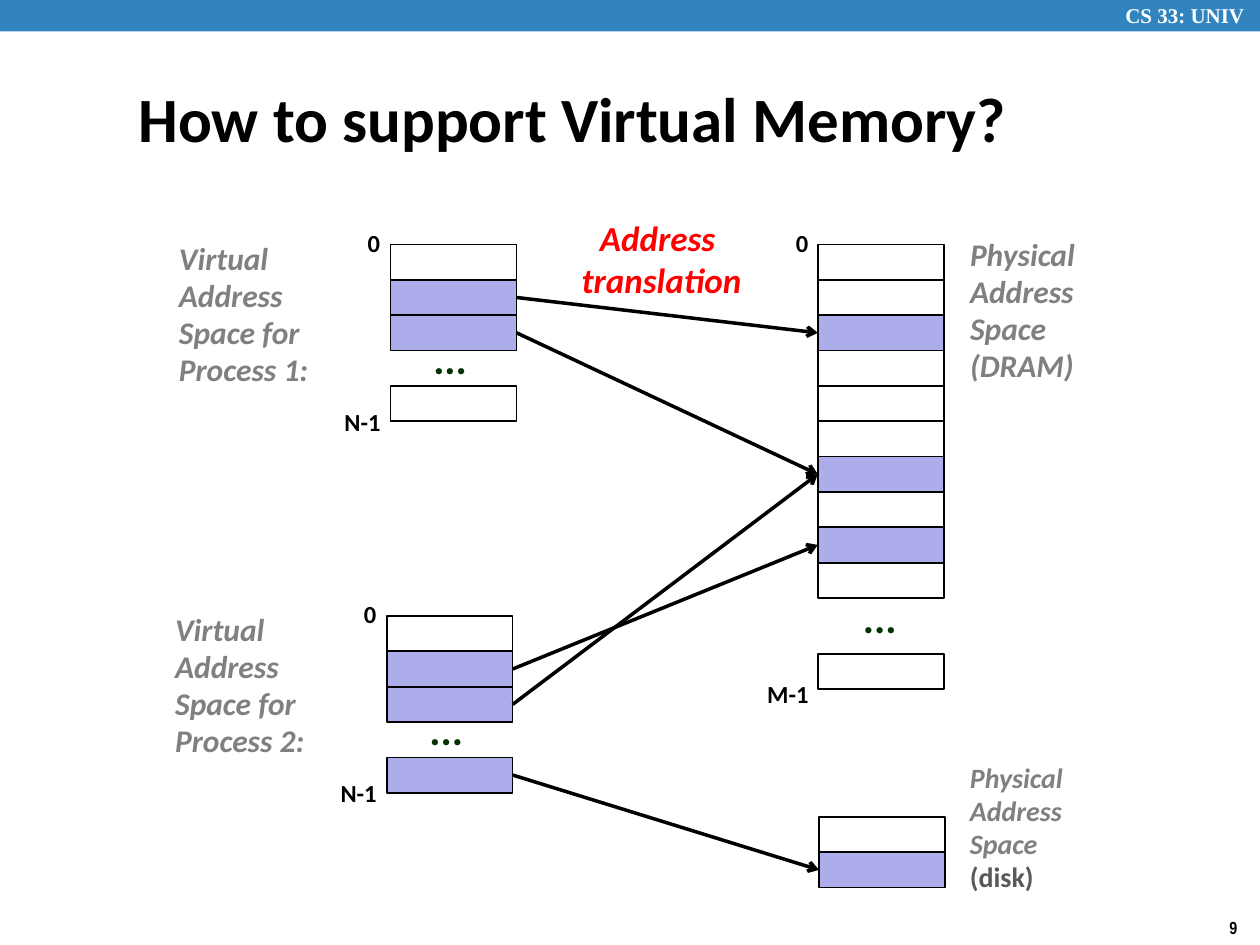
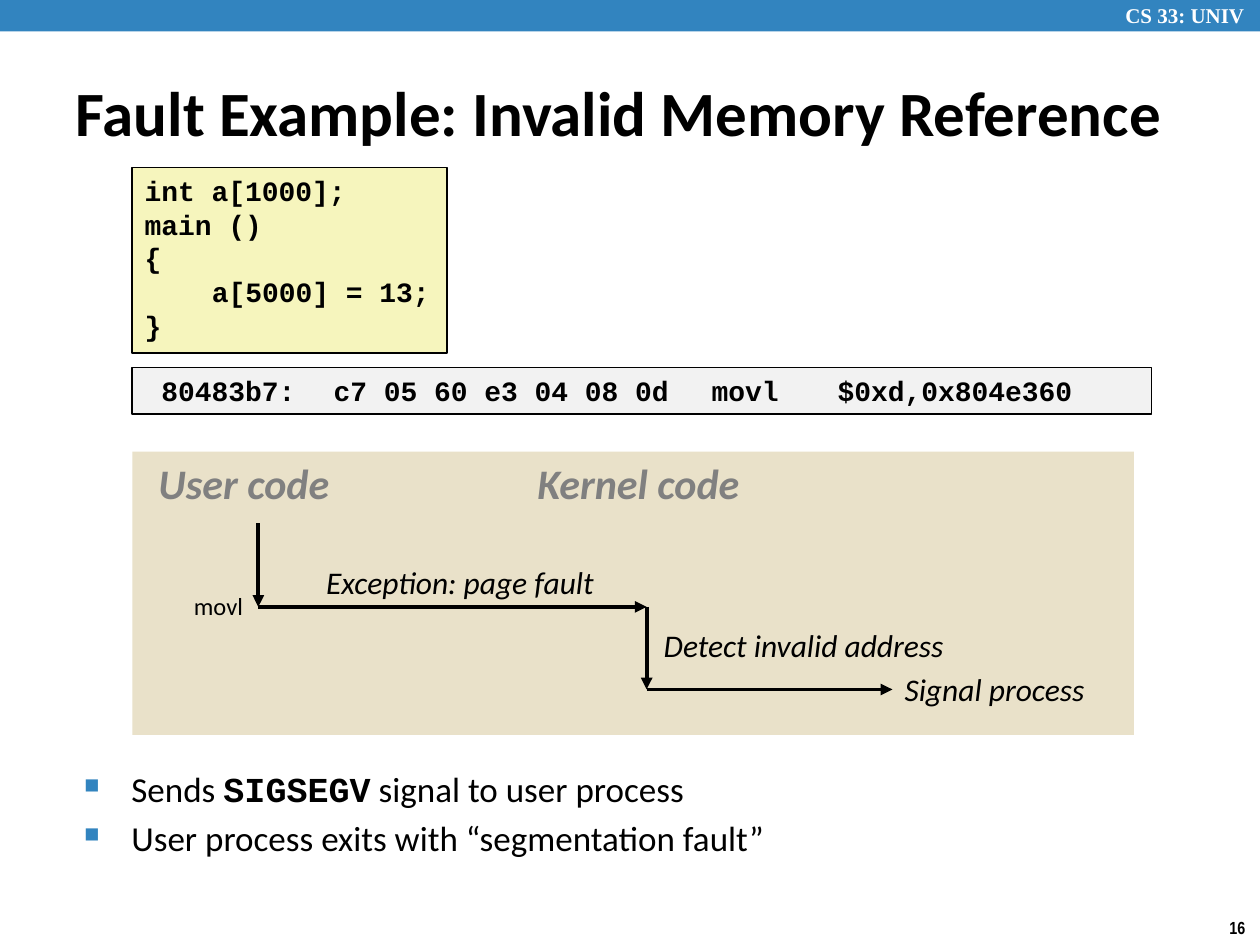
from lxml import etree
from pptx import Presentation
from pptx.dml.color import RGBColor
from pptx.enum import shapes, text
from pptx.oxml import ns
from pptx.util import Pt

BLUE = RGBColor(0x32, 0x84, 0xBF)
LAVENDER = RGBColor(0xAD, 0xAD, 0xEB)
CREAM = RGBColor(0xF6, 0xF5, 0xBD)
PALE_GRAY = RGBColor(0xF2, 0xF2, 0xF2)
SAND = RGBColor(0xE9, 0xE1, 0xC9)
GRAY = RGBColor(0x80, 0x80, 0x80)
DARK_GRAY = RGBColor(0x59, 0x59, 0x59)
GREEN = RGBColor(0x00, 0x33, 0x00)
RED = RGBColor(0xFF, 0x00, 0x00)
BLACK = RGBColor(0, 0, 0)
WHITE = RGBColor(255, 255, 255)

BODY_FONT = "Calibri"
CODE_FONT = "Courier New"
CELL_WIDTH, CELL_HEIGHT = 72, 20.2
LEFT, CENTER = text.PP_ALIGN.LEFT, text.PP_ALIGN.CENTER


def style_font(font, size, color=BLACK, bold=False, italic=False, name=BODY_FONT):
    """Set every font property used in the deck."""
    font.name, font.size, font.bold, font.italic = name, Pt(size), bold, italic
    font.color.rgb = color


def write(shape, lines, size, wrap=True, align=LEFT, spacing=None, before=0,
          anchor=text.MSO_ANCHOR.TOP, **look):
    """Fill a shape with one paragraph per line and return the paragraphs."""
    frame = shape.text_frame
    frame.word_wrap = wrap
    frame.auto_size = text.MSO_AUTO_SIZE.NONE
    frame.vertical_anchor = anchor
    frame.text = lines
    for para in frame.paragraphs:
        para.alignment = align
        para.space_before = Pt(before)
        if spacing:
            para.line_spacing = spacing
        style_font(para.font, size, **look)
    return frame.paragraphs


def add_text(page, left, top, width, height, lines, size, **options):
    """Add a text box and return its paragraphs."""
    box = page.shapes.add_textbox(Pt(left), Pt(top), Pt(width), Pt(height))
    return write(box, lines, size, **options)


def add_box(page, left, top, width, height, fill=None, outlined=True):
    """Add a flat rectangle."""
    box = page.shapes.add_shape(shapes.MSO_SHAPE.RECTANGLE,
                                Pt(left), Pt(top), Pt(width), Pt(height))
    box.shadow.inherit = False
    if fill is None:
        box.fill.background()
    else:
        box.fill.solid()
        box.fill.fore_color.rgb = fill
    if outlined:
        box.line.color.rgb = BLACK
        box.line.width = Pt(1)
    else:
        box.line.fill.background()
    return box


def add_arrow(page, start, end, width, head):
    """Add a straight black arrow between two points."""
    line = page.shapes.add_connector(shapes.MSO_CONNECTOR.STRAIGHT,
                                     *(Pt(value) for value in (*start, *end)))
    line.line.color.rgb = BLACK
    line.line.width = Pt(width)
    tail = etree.SubElement(line.line._get_or_add_ln(), ns.qn("a:tailEnd"))
    tail.set("type", head)
    etree.SubElement(line._element.spPr, ns.qn("a:effectLst"))


def add_bullet(para):
    """Give a paragraph a hanging blue square."""
    props = para._p.get_or_add_pPr()
    props.set("marL", str(Pt(27)))
    props.set("indent", str(-Pt(27)))
    color = etree.Element(ns.qn("a:buClr"))
    etree.SubElement(color, ns.qn("a:srgbClr")).set("val", str(BLUE))
    size = etree.Element(ns.qn("a:buSzPct"))
    size.set("val", "60000")
    mark = etree.Element(ns.qn("a:buChar"))
    mark.set("char", "■")
    font_defaults = props.find(ns.qn("a:defRPr"))
    for element in (color, size, mark):
        font_defaults.addprevious(element)


def add_page(deck, title, number, left, top, width, height):
    """Add a titled page with the course band and the page number."""
    page = deck.slides.add_slide(deck.slide_layouts[5])
    add_box(page, 0, 0, 720, 18, BLUE, outlined=False)
    add_text(page, 636, -2, 89, 22, "CS 33: UNIV", 12, color=WHITE, bold=True,
             name="Times New Roman")
    add_text(page, 695.5, 520.5, 24.5, 19.5, number, 10, wrap=False, bold=True,
             name="Arial Narrow")
    heading = page.shapes.title
    heading.left, heading.top = Pt(left), Pt(top)
    heading.width, heading.height = Pt(width), Pt(height)
    write(heading, title, 36, bold=True, anchor=text.MSO_ANCHOR.MIDDLE)
    return page


def add_cells(page, left, top, pattern):
    """Stack memory cells: '#' is mapped, '.' is empty, a space is a gap."""
    for row, kind in enumerate(pattern):
        if kind != " ":
            add_box(page, left, top + row * CELL_HEIGHT, CELL_WIDTH, CELL_HEIGHT,
                    LAVENDER if kind == "#" else None)


def cell_middle(top, row):
    """Return the vertical middle of a cell in a stack."""
    return top + (row + 0.5) * CELL_HEIGHT


def add_index(page, left, top, label, width=35):
    """Label a cell with its address."""
    add_text(page, left, top, width, 24, label, 14, wrap=False, spacing=0.98, bold=True)


def add_dots(page, left, top):
    """Mark cells that are left out."""
    add_text(page, left, top, 34, 32, "...", 24, wrap=False, spacing=0.88,
             before=9, color=GREEN, bold=True)


def add_space_name(page, left, top, width, height, lines, size=18):
    """Name an address space in gray italics."""
    return add_text(page, left, top, width, height, lines, size, spacing=0.98,
                    color=GRAY, bold=True, italic=True)


def add_process(page, left, top, number, pattern):
    """Draw the virtual address space of one process."""
    add_space_name(page, left - 128, top - 5.8, 108, 92,
                   f"Virtual Address Space for Process {number}:")
    add_cells(page, left, top, pattern)
    add_index(page, left - 20.2, top - 12.3, "0", 22)
    add_index(page, left - 33.5, top + 90, "N-1")
    add_dots(page, left + 17.3, top + 50.4)


def add_memory_page(deck):
    """Show how two processes map to DRAM and disk."""
    page = add_page(deck, "How to support Virtual Memory?", "9", 72, 44.6, 528, 45.4)
    first, second = (223.2, 139.7), (221, 352)
    dram, disk = (467.3, 139.7), (468, 466.8)
    add_process(page, *first, 1, ".## .")
    add_process(page, *second, 2, ".## #")

    add_cells(page, *dram, "..#...#.#.")
    add_dots(page, 486, 338.4)
    add_cells(page, dram[0], 373.7, ".")
    add_index(page, 447.8, 127.4, "0", 22)
    add_index(page, 431.3, 385.2, "M-1", 38)
    add_space_name(page, 547.2, 131.8, 84, 93, "Physical \nAddress \nSpace (DRAM)")

    add_cells(page, *disk, ".#")
    name = add_space_name(page, 547.2, 432, 102, 84,
                          "Physical \nAddress \nSpace\n(disk)", 16)
    style_font(name[-1].font, 16, DARK_GRAY, bold=True)

    mappings = [(first, 1, dram, 2), (first, 2, dram, 6), (second, 2, dram, 6),
                (second, 1, dram, 8), (second, 4, disk, 1)]
    for source, source_row, target, target_row in mappings:
        add_arrow(page, (source[0] + CELL_WIDTH, cell_middle(source[1], source_row)),
                  (target[0], cell_middle(target[1], target_row)), 2, "arrow")
    add_text(page, 324.7, 120.2, 106.6, 55.4, "Address \ntranslation", 20, wrap=False,
             align=CENTER, color=RED, bold=True, italic=True)


def add_fault_page(deck):
    """Show the code, the control flow and the outcome of a fault."""
    page = add_page(deck, "Fault Example: Invalid Memory Reference", "16",
                    36, 41.8, 684, 44)
    source = add_box(page, 75.6, 95.8, 180, 105.8, CREAM)
    code = write(source, "int a[1000];\nmain ()\n{\na[5000] = 13;\n}", 16,
                 wrap=False, bold=True, name=CODE_FONT)
    code[3]._p.get_or_add_pPr().set("marL", str(Pt(38.4)))
    assembly = add_box(page, 75.6, 210, 582.5, 26.7, PALE_GRAY)
    write(assembly, " 80483b7:\tc7 05 60 e3 04 08 0d \tmovl\t$0xd,0x804e360", 16,
          wrap=False, bold=True, name=CODE_FONT)

    add_box(page, 75.6, 258, 572.4, 162, SAND, outlined=False)
    for left, width, label in ((83.5, 119, "User code"), (300, 138, "Kernel code")):
        add_text(page, left, 258, width, 36, label, 24, wrap=False, color=GRAY,
                 bold=True, italic=True)
    user, kernel, fault, signal = 147.6, 369.5, 346.8, 394
    for start, end in (((user, 299), (user, fault)), ((user, fault), (kernel, fault)),
                       ((kernel, fault), (kernel, signal)),
                       ((kernel, signal), (510, signal))):
        add_arrow(page, start, end, 2.25, "triangle")
    for left, top, width, label in ((179.3, 318.4, 174, "Exception: page fault"),
                                    (372.2, 354.2, 180, "Detect invalid address"),
                                    (509.8, 379.4, 126, "Signal process")):
        add_text(page, left, top, width, 29, label, 18, italic=True)
    add_text(page, 103.7, 334.3, 43, 24.5, "movl", 14, wrap=False)

    outcome = add_text(page, 41, 435, 528, 69, "\nUser process exits with “segmentation fault”",
                       20, before=4)
    for words in ("Sends ", "SIGSEGV", " signal to user process"):
        span = outcome[0].add_run()
        span.text = words
        if words.isupper():
            span.font.name, span.font.bold = CODE_FONT, True
    for para in outcome:
        add_bullet(para)


def main():
    """Build the deck and save it."""
    deck = Presentation()
    deck.slide_width, deck.slide_height = Pt(720), Pt(540)
    add_memory_page(deck)
    add_fault_page(deck)
    deck.save("out.pptx")


main()
